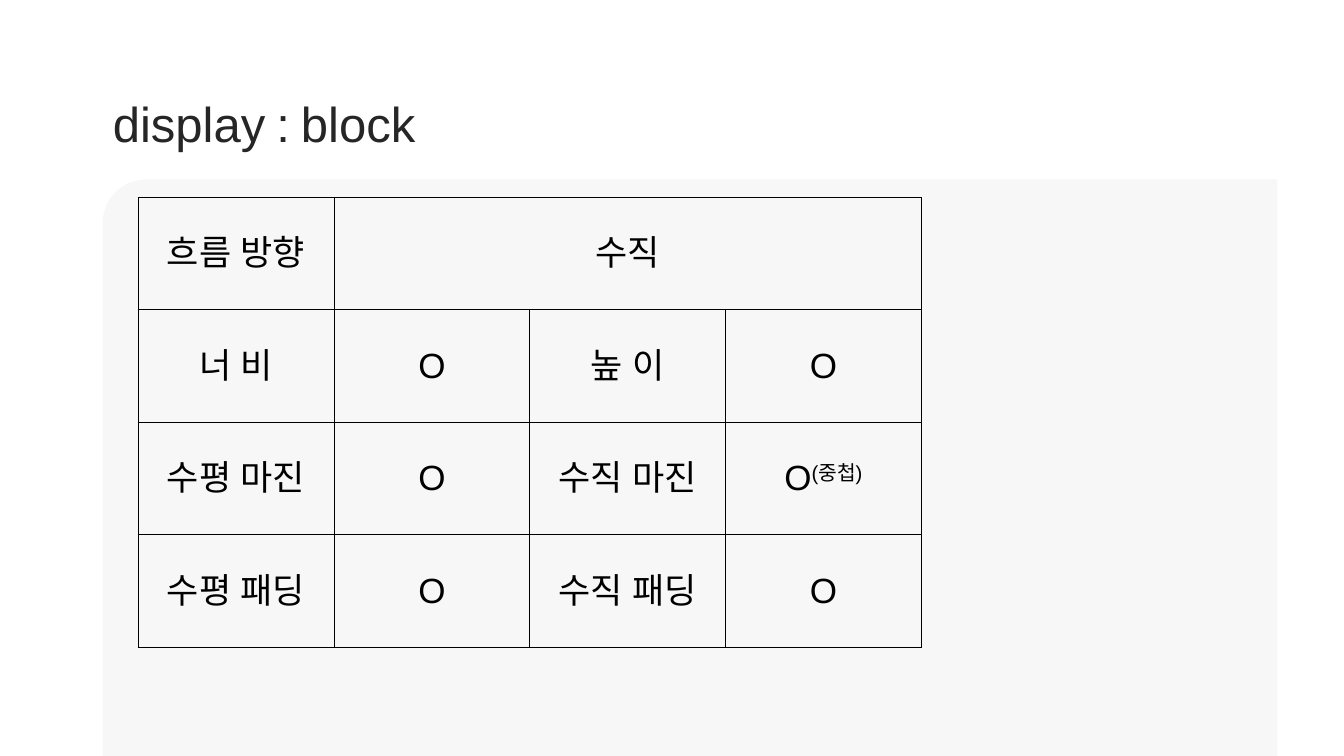
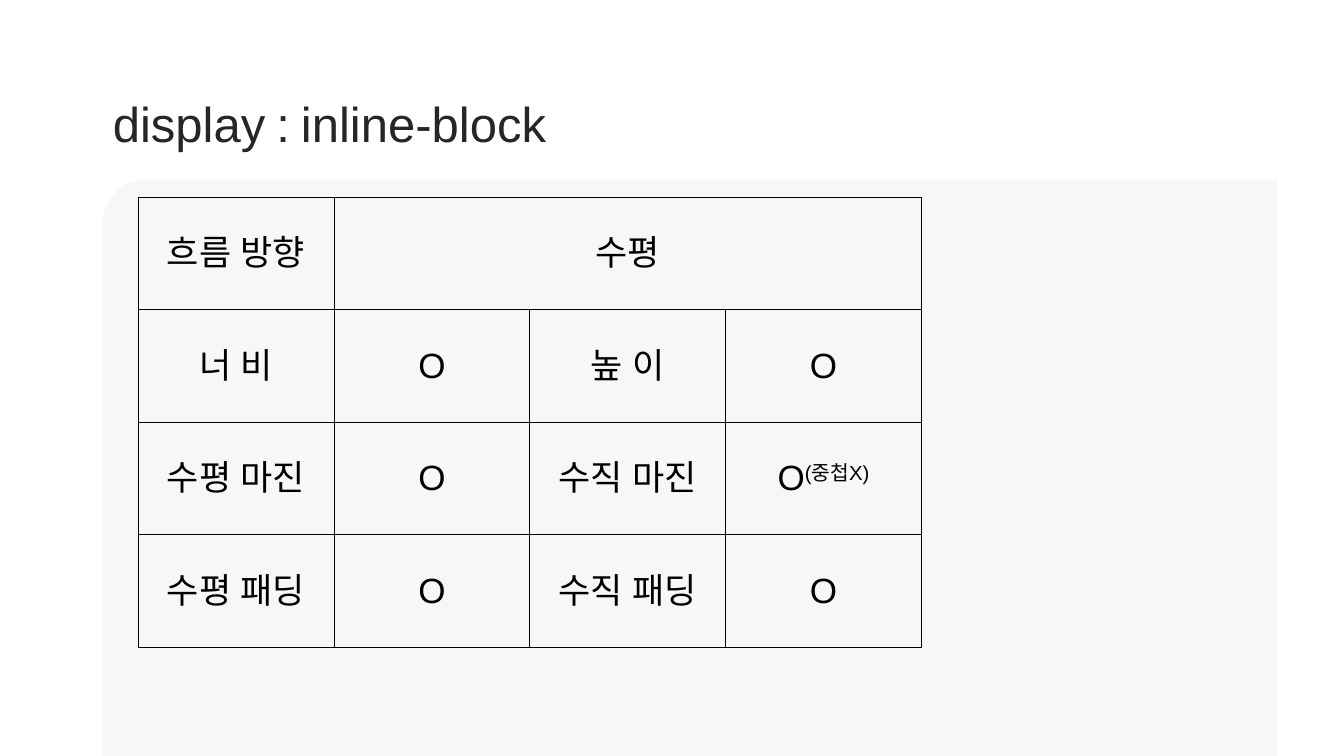
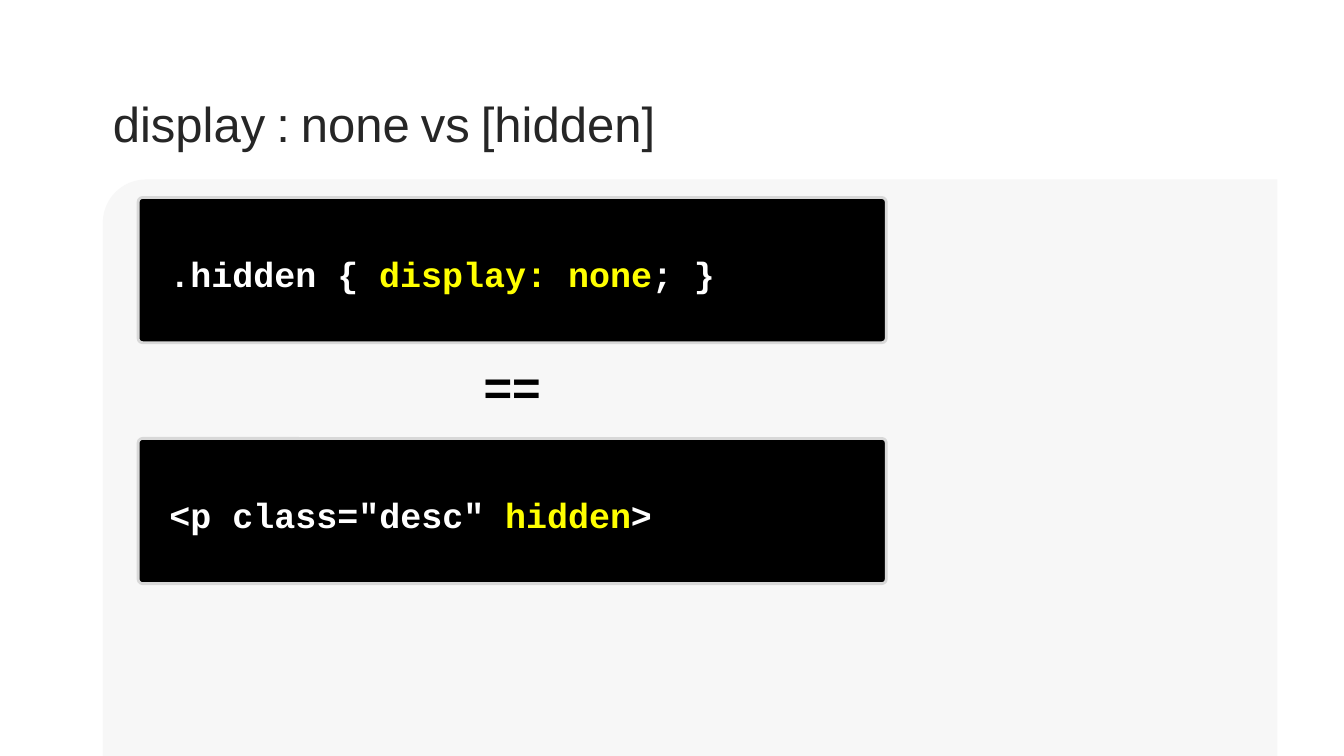
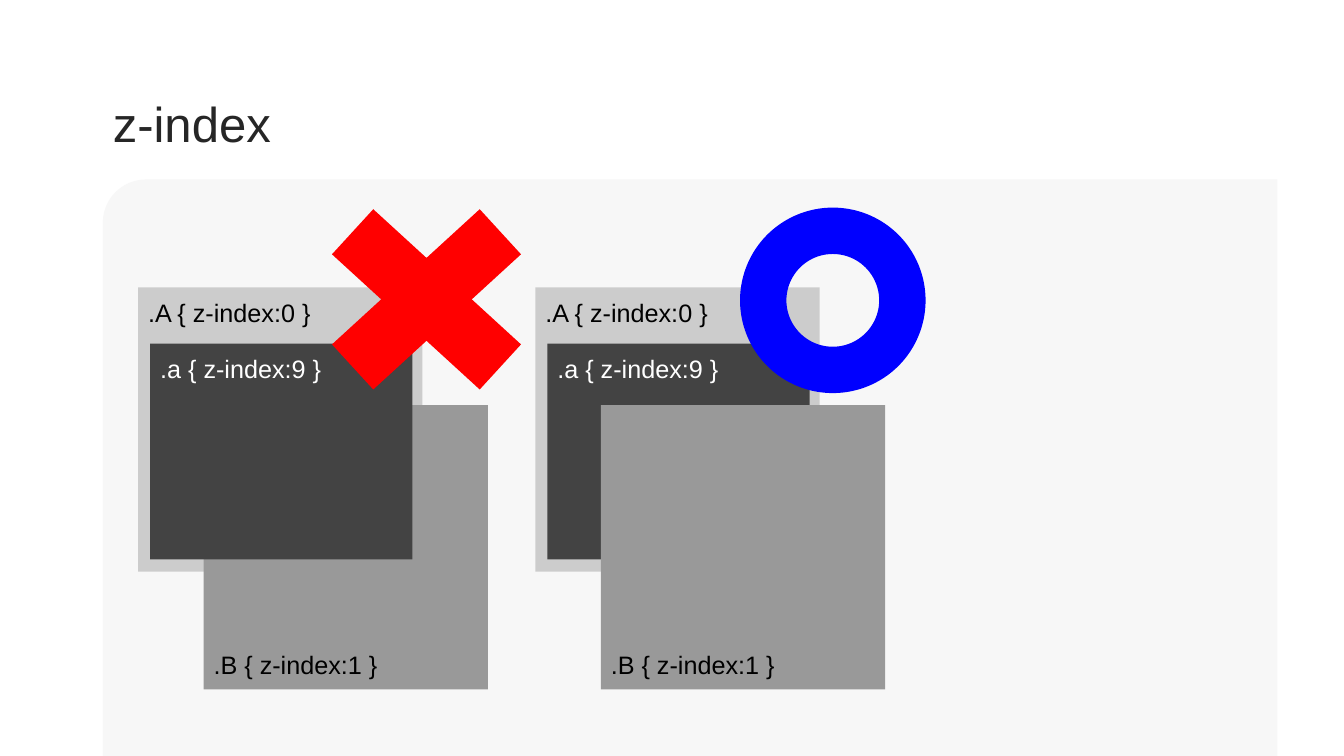
from lxml import etree
from pptx import Presentation
from pptx.dml.color import RGBColor
from pptx.enum.shapes import MSO_SHAPE
from pptx.enum.text import MSO_ANCHOR, PP_ALIGN
from pptx.oxml.ns import qn
from pptx.util import Inches, Pt

PANEL_SHAPE = MSO_SHAPE.ROUND_1_RECTANGLE
CODE_SHAPE = MSO_SHAPE.ROUNDED_RECTANGLE
BOX_SHAPE = MSO_SHAPE.RECTANGLE
CROSS_SHAPE = MSO_SHAPE.MATH_MULTIPLY
RING_SHAPE = MSO_SHAPE.DONUT
TOP, MIDDLE, BOTTOM = MSO_ANCHOR.TOP, MSO_ANCHOR.MIDDLE, MSO_ANCHOR.BOTTOM
LEFT, CENTER = PP_ALIGN.LEFT, PP_ALIGN.CENTER

BODY_FONT = "Arial"
CODE_FONT = "Courier New"
BLACK = "000000"
WHITE = "FFFFFF"
YELLOW = "FFFF00"
PANEL_GREY = "F7F7F7"
TITLE_GREY = "262626"
CODE_BORDER = "D8D8D8"
LIGHT_GREY = "CCCCCC"
MID_GREY = "999999"
DARK_GREY = "434343"
RED = "FF0000"
BLUE = "0000FF"

CONTENT_LEFT = 1.37
CONTENT_TOP = 1.96
CODE_WIDTH = 7.42
BOX_SIZE = 2.82


def rgb(value):
    """Turn a hex string into a colour."""
    return RGBColor.from_string(value)


def add_run(paragraph, text, size, color, font=BODY_FONT, bold=False):
    """Add one formatted run to a paragraph."""
    run = paragraph.add_run()
    run.text = text
    run.font.size = Pt(size)
    run.font.bold = bold
    run.font.name = font
    run.font.color.rgb = rgb(color)
    properties = run.font._element
    east_asian = etree.Element(qn("a:ea"), typeface=font)
    properties.find(qn("a:latin")).addnext(east_asian)
    return run


def prepare_text(shape, anchor, align=LEFT, vertical_inset=0.1):
    """Set up the text frame of a shape and return its first paragraph."""
    frame = shape.text_frame
    frame.word_wrap = True
    frame.vertical_anchor = anchor
    frame.margin_left = frame.margin_right = Inches(0.1)
    frame.margin_top = frame.margin_bottom = Inches(vertical_inset)
    paragraph = frame.paragraphs[0]
    paragraph.alignment = align
    return paragraph


def add_filled_shape(slide, kind, box, fill, adjustment=None):
    """Add a flat preset shape without outline."""
    shape = slide.shapes.add_shape(kind, *map(Inches, box))
    shape.shadow.inherit = False
    shape.fill.solid()
    shape.fill.fore_color.rgb = rgb(fill)
    shape.line.fill.background()
    if adjustment is not None:
        shape.adjustments[0] = adjustment
    return shape


def add_titled_slide(presentation, title):
    """Add a slide with the shared panel and a title with narrow word gaps."""
    slide = presentation.slides.add_slide(presentation.slide_layouts[6])
    panel = add_filled_shape(slide, PANEL_SHAPE, (1.02, 1.78, 11.65, 5.72), PANEL_GREY, 0.075)
    panel._element.spPr.find(qn("a:xfrm")).set("flipH", "1")
    title_box = slide.shapes.add_textbox(*map(Inches, (1.02, 0.88, 12.31, 0.67)))
    paragraph = prepare_text(title_box, MIDDLE, vertical_inset=0.05)
    for index, word in enumerate(title.split()):
        if index:
            add_run(paragraph, " ", 28, TITLE_GREY)
        add_run(paragraph, word, 35, TITLE_GREY)
    return slide


def set_borders(cell):
    """Draw a thin black line on each side of a table cell."""
    properties = cell._tc.get_or_add_tcPr()
    for side in ("lnL", "lnR", "lnT", "lnB"):
        line = etree.SubElement(properties, qn(f"a:{side}"), w=str(Pt(0.75)))
        fill = etree.SubElement(line, qn("a:solidFill"))
        etree.SubElement(fill, qn("a:srgbClr"), val=BLACK)


def fill_cell(cell, text, note=""):
    """Format a table cell and write its text and superscript note."""
    set_borders(cell)
    cell.fill.background()
    cell.vertical_anchor = MIDDLE
    cell.margin_left = cell.margin_right = Inches(0.1)
    cell.margin_top = cell.margin_bottom = Inches(0.1)
    if text:
        paragraph = cell.text_frame.paragraphs[0]
        paragraph.alignment = CENTER
        add_run(paragraph, text, 25, BLACK)
        if note:
            run = add_run(paragraph, note, 25, BLACK)
            run.font._element.set("baseline", "30000")


def add_display_table(slide, direction, margin_note):
    """Add the table of box properties for one display value."""
    rows = [
        ["흐름 방향", direction, "", ""],
        ["너 비", "O", "높 이", "O"],
        ["수평 마진", "O", "수직 마진", "O"],
        ["수평 패딩", "O", "수직 패딩", "O"],
    ]
    width, height = Inches(7.77), Inches(4.46)
    frame = slide.shapes.add_table(4, 4, Inches(CONTENT_LEFT), Inches(CONTENT_TOP), width, height)
    table = frame.table
    table.first_row = False
    table.horz_banding = False
    for row_index, texts in enumerate(rows):
        for column_index, text in enumerate(texts):
            note = margin_note if (row_index, column_index) == (2, 3) else ""
            fill_cell(table.cell(row_index, column_index), text, note)
    table.cell(0, 1).merge(table.cell(0, 3))


def add_code_box(slide, top, pieces):
    """Add a black code box from pairs of text and colour."""
    box = (CONTENT_LEFT, top, CODE_WIDTH, 1.44)
    shape = add_filled_shape(slide, CODE_SHAPE, box, BLACK, 0.03)
    shape.line.color.rgb = rgb(CODE_BORDER)
    shape.line.width = Pt(2)
    paragraph = prepare_text(shape, MIDDLE, vertical_inset=0.05)
    paragraph.line_spacing = 1.15
    paragraph._p.get_or_add_pPr().set("marL", str(Inches(0.2)))
    for text, color in pieces:
        add_run(paragraph, text, 25, color, CODE_FONT, True)


def add_equality(slide):
    """Add the equality sign between the code boxes."""
    sign = slide.shapes.add_textbox(*map(Inches, (CONTENT_LEFT, 3.61, CODE_WIDTH, 0.44)))
    paragraph = prepare_text(sign, MIDDLE, CENTER)
    add_run(paragraph, "==", 35, BLACK, bold=True)


def add_layer(slide, box, fill, label, color=BLACK, anchor=TOP):
    """Add one labelled layer of a stack."""
    shape = add_filled_shape(slide, BOX_SHAPE, box, fill)
    add_run(prepare_text(shape, anchor), label, 18, color)


def add_stack(slide, left, order):
    """Add the three layers of a stack, back to front in the given order."""
    layers = {
        "A": ((left, 2.85, BOX_SIZE, BOX_SIZE), LIGHT_GREY, ".A { z-index:0 }"),
        "B": ((left + 0.65, 4.02, BOX_SIZE, BOX_SIZE), MID_GREY, ".B { z-index:1 }", BLACK, BOTTOM),
        "a": ((left + 0.12, 3.41, 2.6, 2.14), DARK_GREY, ".a { z-index:9 }", WHITE),
    }
    for name in order:
        add_layer(slide, *layers[name])


def main():
    """Build and save the presentation."""
    presentation = Presentation()
    presentation.slide_width = Inches(13.33)
    presentation.slide_height = Inches(7.5)

    for title, direction, note in (
        ("display : block", "수직", "(중첩)"),
        ("display : inline-block", "수평", "(중첩X)"),
    ):
        add_display_table(add_titled_slide(presentation, title), direction, note)

    slide = add_titled_slide(presentation, "display : none vs [hidden]")
    add_code_box(
        slide, CONTENT_TOP, [(".hidden { ", WHITE), ("display: none", YELLOW), ("; }", WHITE)]
    )
    add_code_box(
        slide, 4.35, [('<p class="desc" ', WHITE), ("hidden", YELLOW), (">", WHITE)]
    )
    add_equality(slide)

    slide = add_titled_slide(presentation, "z-index")
    add_stack(slide, CONTENT_LEFT, "ABa")
    add_stack(slide, 5.31, "AaB")
    add_filled_shape(slide, CROSS_SHAPE, (2.82, 1.68, 2.82, 2.58), RED, 0.235)
    add_filled_shape(slide, RING_SHAPE, (7.34, 2.06, 1.84, 1.84), BLUE, 0.25)

    presentation.save("out.pptx")


if __name__ == "__main__":
    main()
